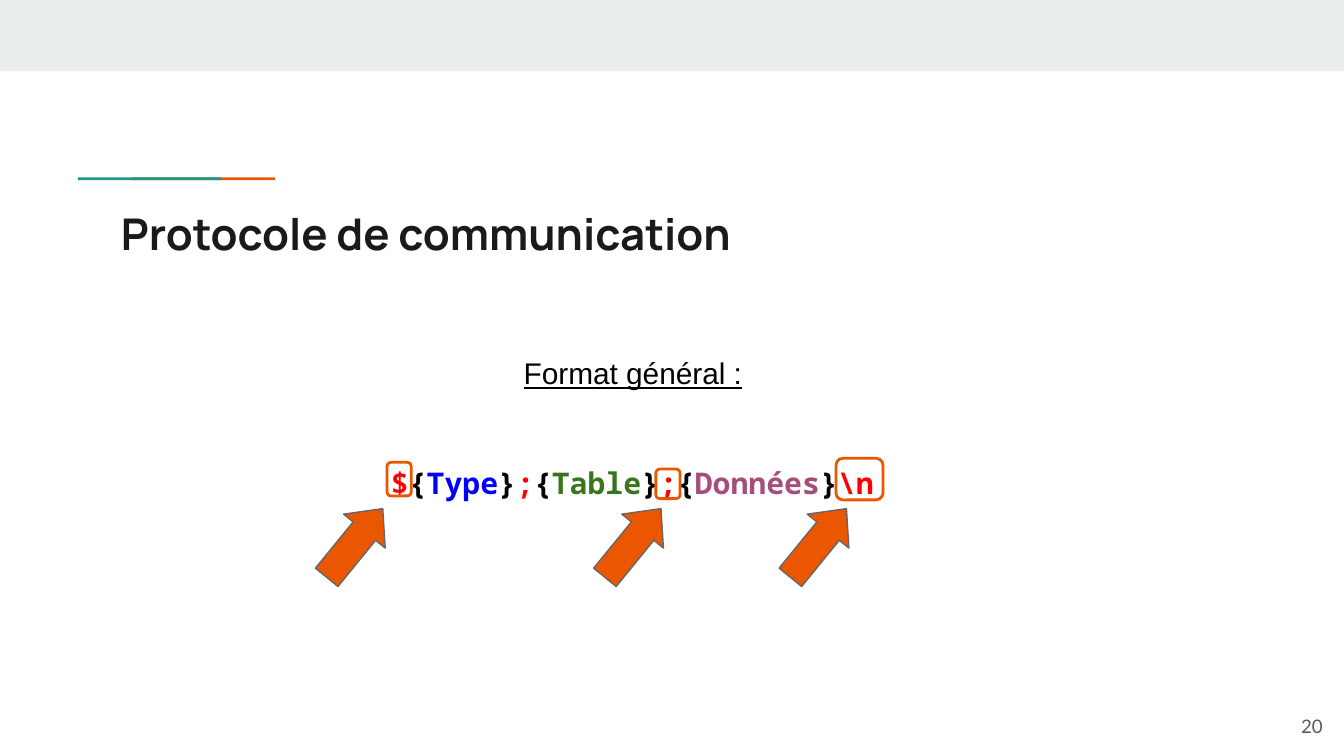
from dataclasses import dataclass

from pptx import Presentation, util as u
from pptx.dml.color import RGBColor
from pptx.enum import shapes, text

EMU_PER_PX = 4572  # 200 px to the inch
COLORS = {
    "band": "E9EDEE", "orange": "EB5600", "teal": "1A9988", "title": "1A1A1A",
    "number": "595959", "black": "000000", "red": "FF0000", "blue": "0000FF",
    "green": "38761D", "purple": "A64D79", "outline": "666666",
}
RECT = shapes.MSO_SHAPE.RECTANGLE
ALIGN = text.PP_ALIGN


@dataclass(frozen=True)
class Box:
    left: int
    top: int
    width: int
    height: int

    def emu(self) -> tuple[int, ...]:
        return tuple(px(n) for n in (self.left, self.top, self.width, self.height))


@dataclass(frozen=True)
class Piece:
    words: str
    color: str


BARS = [(Box(196, 264, 213, 4), "orange"), (Box(116, 264, 213, 4), "teal")]
HIGHLIGHTS = [Box(576, 688, 36, 50), Box(976, 698, 36, 44), Box(1244, 682, 70, 62)]
ARROW_LEFTS = [462, 876, 1152]
MESSAGE = [
    Piece("$", "red"),
    Piece("{", "black"), Piece("Type", "blue"), Piece("}", "black"),
    Piece(";", "red"),
    Piece("{", "black"), Piece("Table", "green"), Piece("}", "black"),
    Piece(";", "red"),
    Piece("{", "black"), Piece("Données", "purple"), Piece("}", "black"),
    Piece("\\n", "red"),
]


def px(count: int) -> int:
    return u.Emu(count * EMU_PER_PX)


def rgb(name: str) -> RGBColor:
    return RGBColor.from_string(COLORS[name])


def add_block(slide, kind, box: Box, fill: str = "", line: str = "", weight: float = 0):
    """Add a preset shape; an empty fill or line name means none."""
    block = slide.shapes.add_shape(kind, *box.emu())
    block.shadow.inherit = False
    if fill:
        block.fill.solid()
        block.fill.fore_color.rgb = rgb(fill)
    else:
        block.fill.background()
    if line:
        block.line.color.rgb = rgb(line)
        block.line.width = u.Pt(weight)
    else:
        block.line.fill.background()
    return block


def write(shape, pieces: list[Piece], font: str, size: float, align=ALIGN.LEFT,
          anchor=text.MSO_ANCHOR.TOP, bold: bool = False, underline: bool = False):
    """Fill a shape with one paragraph of coloured pieces and return the paragraph."""
    frame = shape.text_frame
    frame.word_wrap = True
    frame.auto_size = text.MSO_AUTO_SIZE.NONE
    frame.vertical_anchor = anchor
    frame.margin_left = frame.margin_right = px(20)
    frame.margin_top = frame.margin_bottom = px(20)
    paragraph = frame.paragraphs[0]
    paragraph.alignment = align
    for piece in pieces:
        run = paragraph.add_run()
        run.text = piece.words
        run.font.name = font
        run.font.size = u.Pt(size)
        run.font.bold = bold
        run.font.underline = underline
        run.font.color.rgb = rgb(piece.color)
    return paragraph


def add_label(slide, box: Box, pieces: list[Piece], font: str, size: float, **style):
    return write(slide.shapes.add_textbox(*box.emu()), pieces, font, size, **style)


def main() -> None:
    deck = Presentation()
    deck.slide_width, deck.slide_height = px(2000), px(1125)
    slide = deck.slides.add_slide(deck.slide_layouts[5])

    add_block(slide, RECT, Box(0, 0, 2000, 106), "band")
    for bar, color in BARS:
        add_block(slide, RECT, bar, color)

    title = slide.shapes.title
    title.left, title.top, title.width, title.height = Box(160, 288, 1682, 118).emu()
    write(title, [Piece("Protocole de communication", "title")], "Manrope", 23.4, bold=True)
    add_label(slide, Box(1868, 1038, 120, 86), [Piece("20", "number")], "Lato", 10,
              align=ALIGN.RIGHT, anchor=text.MSO_ANCHOR.MIDDLE)

    add_label(slide, Box(726, 508, 432, 94), [Piece("Format général :", "black")],
              "Arial", 16, align=ALIGN.CENTER, underline=True)
    message = add_label(slide, Box(536, 664, 810, 94), MESSAGE, "Noto Sans Mono", 16,
                        align=ALIGN.CENTER, bold=True)
    message.line_spacing = 1.15

    for left in ARROW_LEFTS:
        arrow = add_block(slide, shapes.MSO_SHAPE.RIGHT_ARROW, Box(left, 768, 132, 80),
                          "orange", "outline", 0.75)
        arrow.adjustments[0] = arrow.adjustments[1] = 0.54
        arrow.rotation = 309.2
    for box in HIGHLIGHTS:
        add_block(slide, shapes.MSO_SHAPE.ROUNDED_RECTANGLE, box, line="orange", weight=1.5)

    deck.save("out.pptx")


if __name__ == "__main__":
    main()
